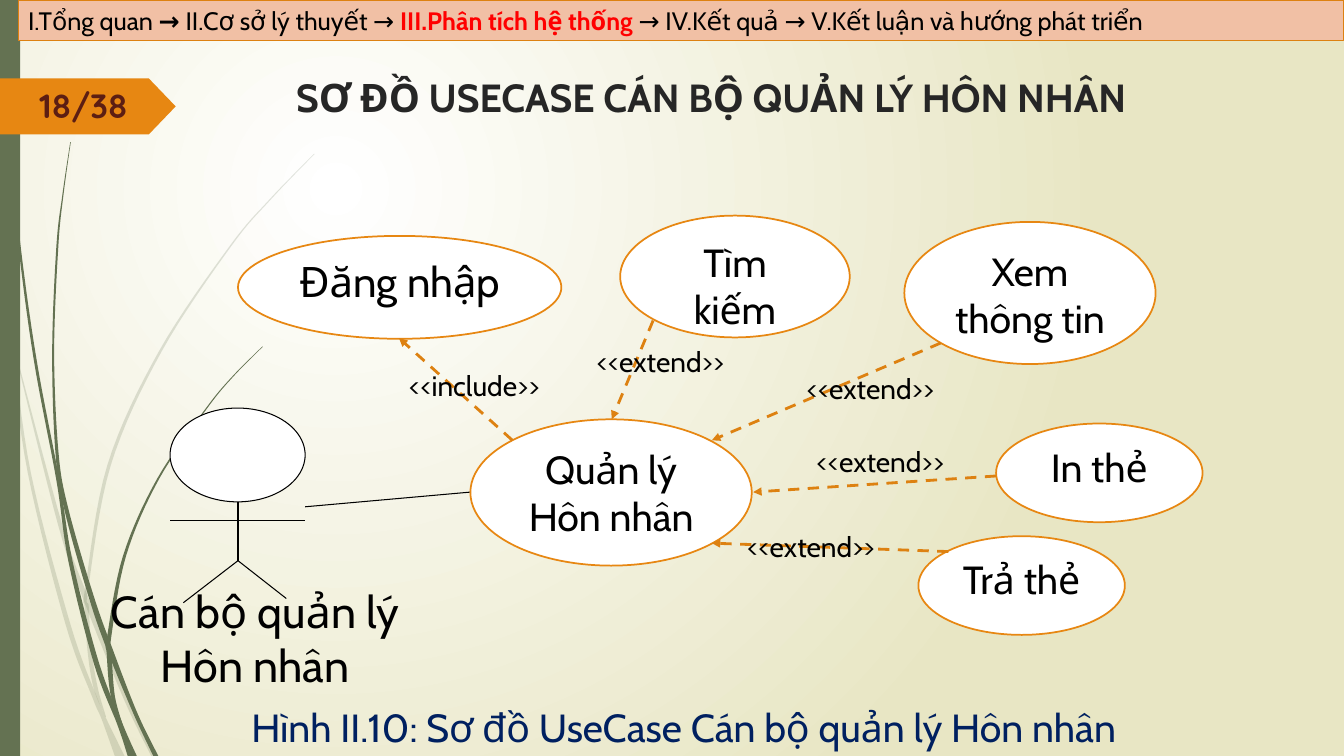
from lxml import etree
from pptx import Presentation
from pptx import util as u
from pptx.dml.color import RGBColor
from pptx.enum import dml, shapes, text
from pptx.oxml import ns

Pt = u.Pt
KIND = shapes.MSO_SHAPE
LEFT, MID = text.PP_ALIGN.LEFT, text.PP_ALIGN.CENTER
TOP, CENTER = text.MSO_ANCHOR.TOP, text.MSO_ANCHOR.MIDDLE

HUES = {
    "white": "FFFFFF", "black": "000000", "cream": "E8E6C4", "green": "647252",
    "orange": "E78712", "rust": "DD8111", "peach": "F1C0A5", "brown": "5C1E13",
    "navy": "002060", "red": "FF0000", "dark": "262626",
}

PALE = [
    [(0, 209, 1), (7, 240, 2), (21, 338, 2.2), (48.6, 446, 3.5), (68, 499, 3.3),
     (74.5, 514, 3.5), (85.5, 540, 7)],
    [(10, 248, 0.5), (43, 375, 3), (61.5, 428, 4), (90, 499, 3.5), (110, 540, 4)],
    [(224.5, 110, 0.5), (193, 142.5, 1), (164.5, 176, 1.2), (114.5, 251, 2), (78, 332, 2.5),
     (62, 420, 2.2), (62, 434, 3), (64, 465, 2.9), (68.5, 492, 3), (75.5, 512, 0.5)],
]
DEEP = [
    [(2.5, 0, 0.8), (3.2, 34.5, 1), (5.4, 79, 1), (13, 167, 1.5), (25, 256, 2),
     (41.4, 343, 2.2), (50.4, 401, 3), (69, 474, 3.8), (86, 518, 4), (94.5, 540, 6.5)],
    [(50.4, 101.5, 0.4), (45, 139, 0.8), (41, 176, 1.4), (38, 251, 1.4), (40.7, 323, 2.2),
     (47.5, 364, 3), (65, 425.5, 3.8), (78.5, 464, 4.2), (96.5, 509, 3), (111.3, 540, 3.6)],
    [(187.5, 247.7, 0.5), (166.3, 269, 0.8), (147.3, 292, 1), (113, 342, 1.5), (89, 397, 2.2),
     (78, 455, 3), (78, 467, 3.5), (80.6, 497, 2.9), (87.5, 518, 0.5)],
]
CASES = [
    ("Đăng nhập", 30, (170, 168.5, 231, 73.5)),
    ("Quản lý Hôn nhân", 28, (336, 299.5, 201, 104.5)),
    ("Xem thông tin", 28, (646, 158.5, 179.5, 101.5)),
    ("In thẻ", 28, (711.5, 302.5, 147.5, 70.5)),
    ("Tìm kiếm", 28, (443, 154, 164, 87)),
    ("Trả thẻ", 28, (656, 383, 147.5, 70.5)),
]
BODY = [
    (170, 358.5, 170, 400.5), (121.5, 371.5, 218, 371.5), (170, 400.5, 131, 430.5),
    (170, 400.5, 204.5, 427.5), (218, 362, 336, 351.5),
]
LINKS = [
    ("<<include>>", (366, 314.5, 285, 241.5), (285, 260)),
    ("<<extend>>", (466.5, 229, 437, 299.5), (419, 242.5)),
    ("<<extend>>", (672, 245, 508.5, 314.5), (569, 262)),
    ("<<extend>>", (711.5, 340, 538, 351.5), (576, 314)),
    ("<<extend>>", (677.5, 394, 508.5, 388), (526.5, 375)),
]
STEPS = [
    ("I.Tổng quan ", "black", False), ("→ ", "black", True),
    ("II.Cơ sở lý thuyết → ", "black", False), ("III.Phân tích hệ thống ", "red", True),
    ("→ IV.Kết quả → V.Kết luận và hướng phát triển", "black", False),
]


def smooth(knots, steps=8):
    ends = [knots[0], *knots, knots[-1]]
    curve = []
    for a, b, c, d in zip(ends, ends[1:], ends[2:], ends[3:]):
        for i in range(steps):
            t = i / steps
            curve.append([
                q + t * (r - p) / 2 + t * t * (2 * p - 5 * q + 4 * r - s) / 2
                + t ** 3 * (3 * q - p - 3 * r + s) / 2
                for p, q, r, s in zip(a, b, c, d)
            ])
    return curve + [knots[-1]]


class Board:
    def __init__(self, slide, font="Cabin"):
        self.slide, self.font = slide, font
        self.items = slide.shapes

    def hue(self, name):
        return RGBColor.from_string(HUES[name])

    def glow(self, inner, outer):
        fill = self.slide.background.fill
        fill.gradient()
        for stop, name, place in zip(fill.gradient_stops, (inner, outer), (0, 1)):
            stop.color.rgb, stop.position = self.hue(name), place
        grad = self.slide.element.find(".//" + ns.qn("a:gradFill"))
        grad.remove(grad.find(ns.qn("a:lin")))
        ring = etree.SubElement(grad, ns.qn("a:path"), path="circle")
        etree.SubElement(ring, ns.qn("a:fillToRect"), l="50000", t="50000", r="100000", b="100000")

    def paint(self, item, fill, line=None, width=0.75):
        item.shadow.inherit = False
        item.fill.solid()
        item.fill.fore_color.rgb = self.hue(fill)
        if line:
            item.line.color.rgb, item.line.width = self.hue(line), Pt(width)
        else:
            item.line.fill.background()
        return item

    def shape(self, kind, box, fill, line=None, width=0.75):
        return self.paint(self.items.add_shape(kind, *map(Pt, box)), fill, line, width)

    def blade(self, knots, alpha=None):
        curve = smooth(knots)
        edge = [(x - w / 2, y) for x, y, w in curve]
        edge += [(x + w / 2, y) for x, y, w in reversed(curve)]
        dots = [(Pt(x), Pt(y)) for x, y in edge]
        form = self.items.build_freeform(*dots[0], scale=1.0)
        form.add_line_segments(dots[1:], close=True)
        item = self.paint(form.convert_to_shape(), "green")
        if alpha:
            tint = item.element.spPr.find(".//" + ns.qn("a:srgbClr"))
            etree.SubElement(tint, ns.qn("a:alpha"), val=str(alpha * 1000))

    def words(self, item, runs, size, align=LEFT, anchor=TOP, after=0, font=None):
        frame = item.text_frame
        frame.word_wrap, frame.vertical_anchor = True, anchor
        para = frame.paragraphs[0]
        para.alignment, para.space_after = align, Pt(after)
        for part, color, bold in runs:
            run = para.add_run()
            run.text = part
            run.font.name, run.font.size = font or self.font, Pt(size)
            run.font.bold, run.font.color.rgb = bold, self.hue(color)

    def label(self, box, part, size, color="black", bold=False, **more):
        item = self.items.add_textbox(*map(Pt, box))
        self.words(item, [(part, color, bold)], size, **more)

    def line(self, ends, color="black", width=0.75, arrow=False):
        item = self.items.add_connector(shapes.MSO_CONNECTOR.STRAIGHT, *map(Pt, ends))
        item.line.color.rgb, item.line.width = self.hue(color), Pt(width)
        props = item.element.spPr
        if arrow:
            item.line.dash_style = dml.MSO_LINE.DASH
            etree.SubElement(props.find(ns.qn("a:ln")), ns.qn("a:tailEnd"), type="triangle")
        etree.SubElement(props, ns.qn("a:effectLst"))


def main():
    deck = Presentation()
    deck.slide_width, deck.slide_height = Pt(960), Pt(540)
    board = Board(deck.slides.add_slide(deck.slide_layouts[6]))
    board.glow("white", "cream")
    for knots in PALE:
        board.blade(knots, alpha=20)
    for knots in DEEP:
        board.blade(knots)
    board.shape(KIND.RECTANGLE, (0, 0, 14.5, 540), "green")
    tag = board.shape(KIND.PENTAGON, (0, 56, 125.5, 40), "orange")
    tag.adjustments[0] = 0.48
    board.label((21, 57, 86.5, 36), "18/38", 24, "brown", True, font="Quicksand")
    board.label((121.5, 499, 733.5, 41), "Hình II.10: Sơ đồ UseCase Cán bộ quản lý Hôn nhân",
                28, "navy", align=MID)

    board.shape(KIND.OVAL, (121.5, 291.5, 96.5, 67), "white", "black")
    for ends in BODY:
        board.line(ends)
    for name, size, box in CASES:
        oval = board.shape(KIND.OVAL, box, "white", "orange", 1.25)
        board.words(oval, [(name, "black", False)], size, MID, after=10)
    board.label((67, 413.5, 230.5, 85), "Cán bộ quản lý Hôn nhân", 32, align=MID)
    for name, ends, spot in LINKS:
        board.line(ends, "rust", 2, arrow=True)
        board.label((*spot, 137, 31.5), name, 20)

    band = board.shape(KIND.RECTANGLE, (13, 0, 947, 29), "peach", "rust")
    board.words(band, STEPS, 18, anchor=CENTER)
    board.label((204.5, 49, 702, 101), "SƠ ĐỒ USECASE CÁN BỘ QUẢN LÝ HÔN NHÂN", 28, "dark", True)
    deck.save("out.pptx")


if __name__ == "__main__":
    main()
